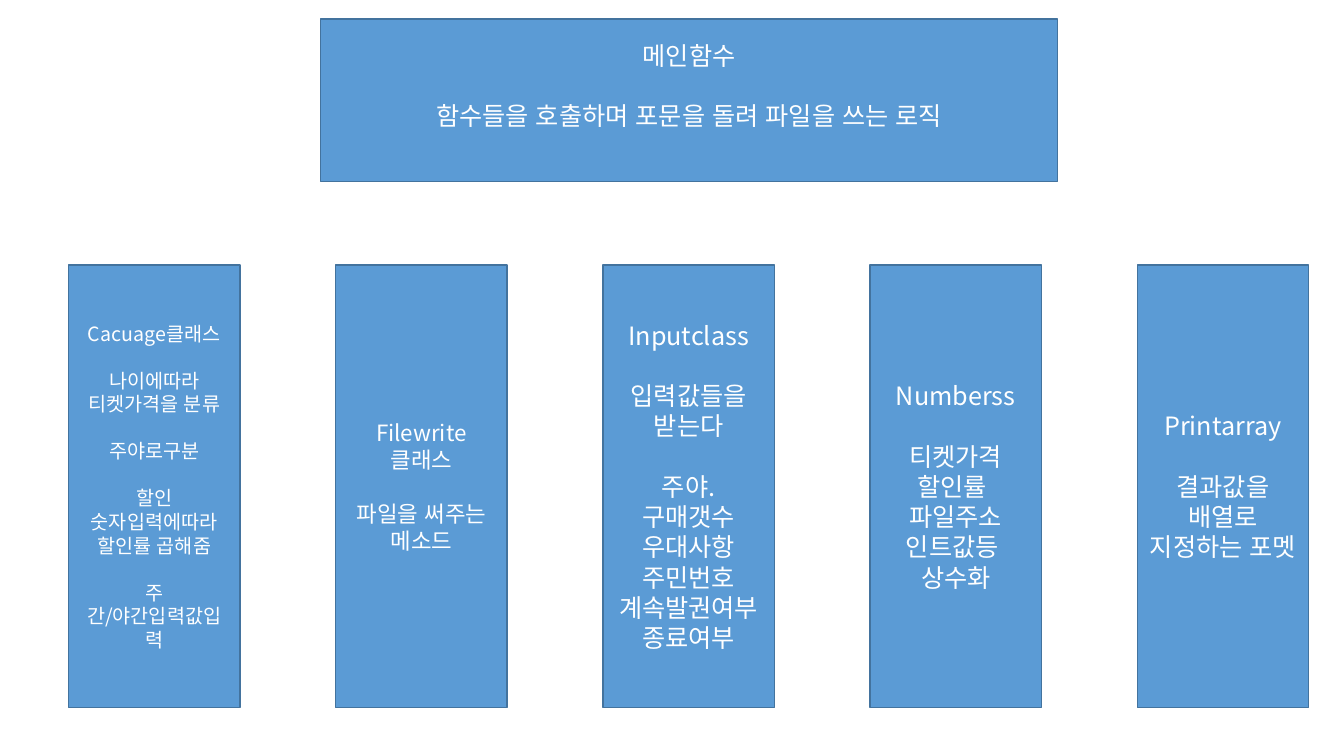
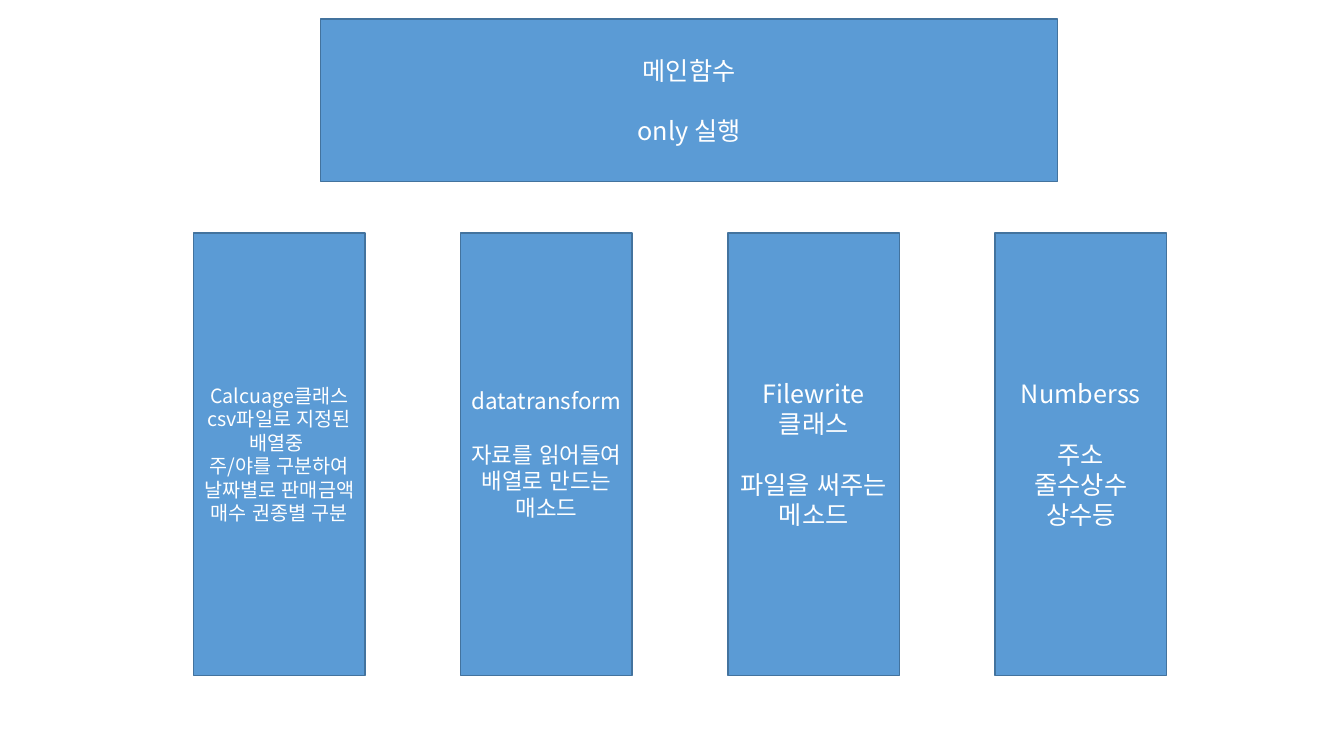
from pptx import Presentation
from pptx import util as u
from pptx.dml import color
from pptx.enum import lang, shapes, text
from pptx.oxml import ns
from lxml import etree

COLORS = {"box": "5B9BD5", "border": "43739E", "text": "FFFFFF"}
FONT = "Noto Sans CJK KR"
LINE_HEIGHT = 1.2
COLUMN_WIDTH, COLUMN_HEIGHT, COLUMN_STEP = 1.7, 4.39, 2.65


class Diagram:
    def __init__(self):
        self.deck = Presentation()
        self.deck.slide_width = u.Inches(13.33)
        self.deck.slide_height = u.Inches(7.5)
        self.slide = None

    def rgb(self, name):
        return color.RGBColor.from_string(COLORS[name])

    def new_slide(self):
        self.slide = self.deck.slides.add_slide(self.deck.slide_layouts[6])

    def line(self, paragraph, words, size):
        paragraph.alignment = text.PP_ALIGN.CENTER
        run = paragraph.add_run()
        run.text = words
        run.font.size = u.Pt(size)
        run.font.name = FONT
        run.font.language_id = lang.MSO_LANGUAGE_ID.KOREAN
        run.font.color.rgb = self.rgb("text")
        east_asian = etree.SubElement(run.font._element, ns.qn("a:ea"))
        east_asian.set("typeface", FONT)

    def box(self, left, top, width, height, size, groups, bottom_inset=0.05):
        box = self.slide.shapes.add_shape(
            shapes.MSO_SHAPE.RECTANGLE,
            u.Inches(left), u.Inches(top), u.Inches(width), u.Inches(height))
        box.shadow.inherit = False
        box.fill.solid()
        box.fill.fore_color.rgb = self.rgb("box")
        box.line.color.rgb = self.rgb("border")
        box.line.width = u.Pt(1)
        frame = box.text_frame
        frame.word_wrap = True
        frame.vertical_anchor = text.MSO_ANCHOR.MIDDLE
        frame.margin_bottom = u.Inches(bottom_inset)
        paragraph = None
        for group in groups:
            for position, words in enumerate(group):
                first = paragraph is None
                paragraph = frame.paragraphs[0] if first else frame.add_paragraph()
                if position == 0 and not first:
                    paragraph.space_before = u.Pt(size * LINE_HEIGHT)
                self.line(paragraph, words, size)

    def main_function(self, role, bottom_inset=0.05):
        self.box(3.18, 0.19, 7.31, 1.61, 18, [["메인함수"], [role]], bottom_inset)

    def class_row(self, left, top, classes):
        for index, (size, groups) in enumerate(classes):
            self.box(left + index * COLUMN_STEP, top,
                     COLUMN_WIDTH, COLUMN_HEIGHT, size, groups)


FILE_WRITER = [["Filewrite클래스"], ["파일을 써주는 메소드"]]

TICKET_CLASSES = [
    (14, [["Cacuage클래스"], ["나이에따라 티켓가격을 분류"], ["주야로구분"],
          ["할인 숫자입력에따라 할인률 곱해줌"], ["주간/야간입력값입력"]]),
    (16, FILE_WRITER),
    (18, [["Inputclass"], ["입력값들을 받는다"],
          ["주야.", "구매갯수", "우대사항", "주민번호", "계속발권여부", "종료여부"]]),
    (18, [["Numberss"], ["티켓가격", "할인률 ", "파일주소", "인트값등 ", "상수화"]]),
    (18, [["Printarray"], ["결과값을 배열로 지정하는 포멧"]]),
]

REPORT_CLASSES = [
    (14, [["Calcuage클래스", "csv파일로 지정된 배열중 ", "주/야를 구분하여",
           "날짜별로 판매금액 매수 권종별 구분"]]),
    (16, [["datatransform"], ["자료를 읽어들여 배열로 만드는 매소드"]]),
    (18, FILE_WRITER),
    (18, [["Numberss"], ["주소", "줄수상수", "상수등"]]),
]


def main():
    diagram = Diagram()
    diagram.new_slide()
    diagram.class_row(0.68, 2.63, TICKET_CLASSES)
    diagram.main_function("함수들을 호출하며 포문을 돌려 파일을 쓰는 로직", 0.35)
    diagram.new_slide()
    diagram.class_row(1.92, 2.31, REPORT_CLASSES)
    diagram.main_function("only 실행")
    diagram.deck.save("out.pptx")


if __name__ == "__main__":
    main()
